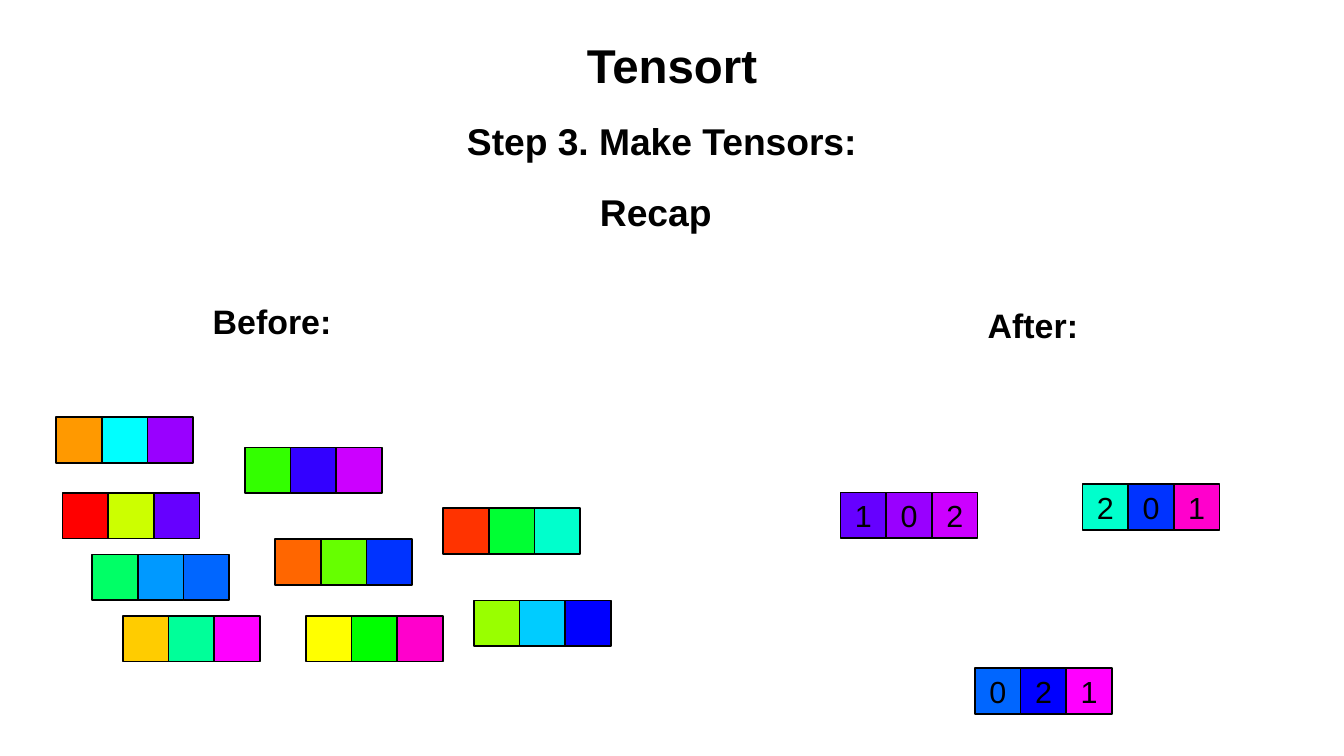
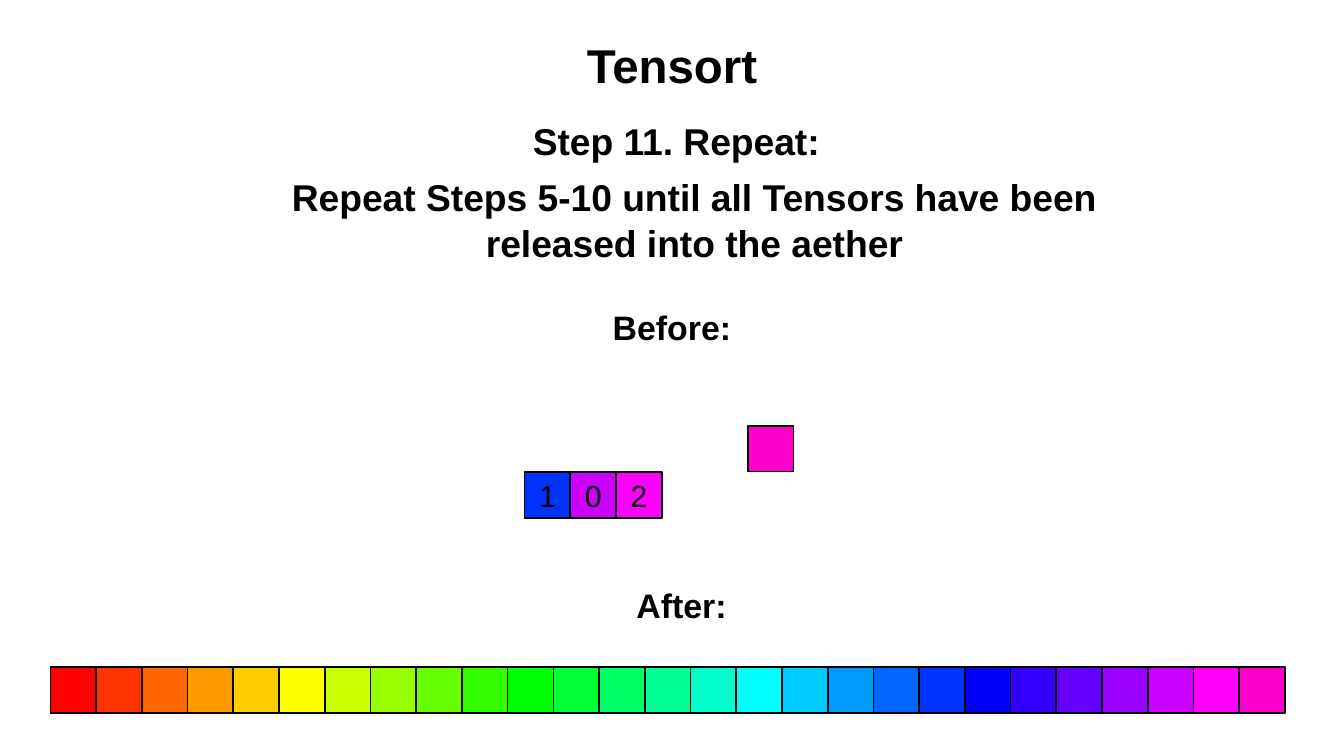
"""Build two slides that recap steps of the Tensort algorithm."""
from colorsys import hsv_to_rgb
from dataclasses import dataclass
from itertools import zip_longest
from typing import Sequence

from pptx import Presentation
from pptx.dml.color import RGBColor
from pptx.enum.shapes import MSO_SHAPE
from pptx.enum.text import MSO_ANCHOR, PP_ALIGN
from pptx.slide import Slide
from pptx.text.text import TextFrame
from pptx.util import Cm, Pt

RECT = MSO_SHAPE.RECTANGLE
TOP, MIDDLE = MSO_ANCHOR.TOP, MSO_ANCHOR.MIDDLE
LEFT, CENTER = PP_ALIGN.LEFT, PP_ALIGN.CENTER


@dataclass(frozen=True)
class Theme:
    font: str = "Arial"
    ink: RGBColor = RGBColor(0, 0, 0)
    title: int = 28
    step: int = 22
    label: int = 20
    digit: int = 18
    line: int = 1
    hues: int = 30

    def fill(self, hue: int) -> RGBColor:
        return RGBColor(*(round(part * 255) for part in hsv_to_rgb(hue / self.hues, 1, 1)))


@dataclass(frozen=True)
class Label:
    text: str
    left: float
    top: float
    width: float = 4.88
    height: float = 1.9
    size: int = Theme.label
    align: PP_ALIGN = CENTER
    anchor: MSO_ANCHOR = MIDDLE


@dataclass(frozen=True)
class Tensor:
    left: float
    top: float
    hues: Sequence[int]
    digits: str = ""


@dataclass(frozen=True)
class Page:
    labels: Sequence[Label]
    tensors: Sequence[Tensor]


THEME = Theme()
COUNT = 27
SIDE = Cm(25.72) // COUNT
TITLE = Label("Tensort", 1.4, 0.03, 25.2, 2.64, THEME.title)


def step(text: str, left: float, top: float, width: float,
         height: float = 1, align: PP_ALIGN = LEFT) -> Label:
    return Label(text, left, top, width, height, THEME.step, align, TOP)


PAGES = (
    Page(
        (
            step("Step 3. Make Tensors:", 9.73, 2.47, 14.6),
            step("Recap", 12.5, 3.94, 3.5),
            Label("Before:", 3.23, 5.74),
            Label("After:", 19.08, 5.82),
        ),
        (
            Tensor(1.17, 8.69, (3, 15, 23)),
            Tensor(5.1, 9.32, (9, 21, 24)),
            Tensor(1.3, 10.27, (0, 6, 22)),
            Tensor(9.23, 10.59, (1, 11, 14)),
            Tensor(1.92, 11.55, (12, 17, 18)),
            Tensor(5.73, 11.23, (2, 8, 19)),
            Tensor(2.56, 12.83, (4, 13, 25)),
            Tensor(6.37, 12.83, (5, 10, 26)),
            Tensor(9.87, 12.51, (7, 16, 20)),
            Tensor(17.51, 10.26, (22, 23, 24), "102"),
            Tensor(22.55, 10.09, (14, 19, 26), "201"),
            Tensor(20.31, 13.92, (18, 20, 25), "021"),
        ),
    ),
    Page(
        (
            step("Step 11. Repeat:", 11.1, 2.47, 14.6),
            step("Repeat Steps 5-10 until all Tensors have been\n"
                 "released into the aether", 4.7, 3.63, 19.54, 2.6, CENTER),
            Label("Before:", 11.56, 5.87),
            Label("After:", 11.76, 11.66),
        ),
        (
            Tensor(10.93, 9.84, (19, 24, 25), "102"),
            Tensor(15.58, 8.87, (26,)),
            Tensor(1.05, 13.9, range(COUNT)),
        ),
    ),
)


def write(frame: TextFrame, text: str, size: int, bold: bool,
          align: PP_ALIGN, anchor: MSO_ANCHOR) -> None:
    frame.margin_left = frame.margin_right = 0
    frame.margin_top = frame.margin_bottom = 0
    frame.word_wrap = True
    frame.vertical_anchor = anchor
    frame.text = text
    for rank, para in enumerate(frame.paragraphs):
        para.alignment = align
        para.space_before = Pt(rank)
        for run in para.runs:
            run.font.name = THEME.font
            run.font.size = Pt(size)
            run.font.bold = bold
            run.font.color.rgb = THEME.ink


def draw_label(slide: Slide, label: Label) -> None:
    box = slide.shapes.add_textbox(
        Cm(label.left), Cm(label.top), Cm(label.width), Cm(label.height))
    write(box.text_frame, label.text, label.size, True, label.align, label.anchor)


def draw_tensor(slide: Slide, tensor: Tensor) -> None:
    group = slide.shapes.add_group_shape()
    cells = zip_longest(tensor.hues, tensor.digits, fillvalue="")
    for col, (hue, digit) in enumerate(cells):
        cell = group.shapes.add_shape(
            RECT, Cm(tensor.left) + col * SIDE, Cm(tensor.top), SIDE, SIDE)
        cell.shadow.inherit = False
        cell.fill.solid()
        cell.fill.fore_color.rgb = THEME.fill(hue)
        cell.line.color.rgb = THEME.ink
        cell.line.width = Pt(THEME.line)
        if digit:
            write(cell.text_frame, digit, THEME.digit, False, CENTER, MIDDLE)


def main() -> None:
    deck = Presentation()
    deck.slide_width, deck.slide_height = Cm(28), Cm(15.75)
    blank = deck.slide_layouts[6]
    for page in PAGES:
        slide = deck.slides.add_slide(blank)
        for label in (TITLE, *page.labels):
            draw_label(slide, label)
        for tensor in page.tensors:
            draw_tensor(slide, tensor)
    deck.save("out.pptx")


if __name__ == "__main__":
    main()
